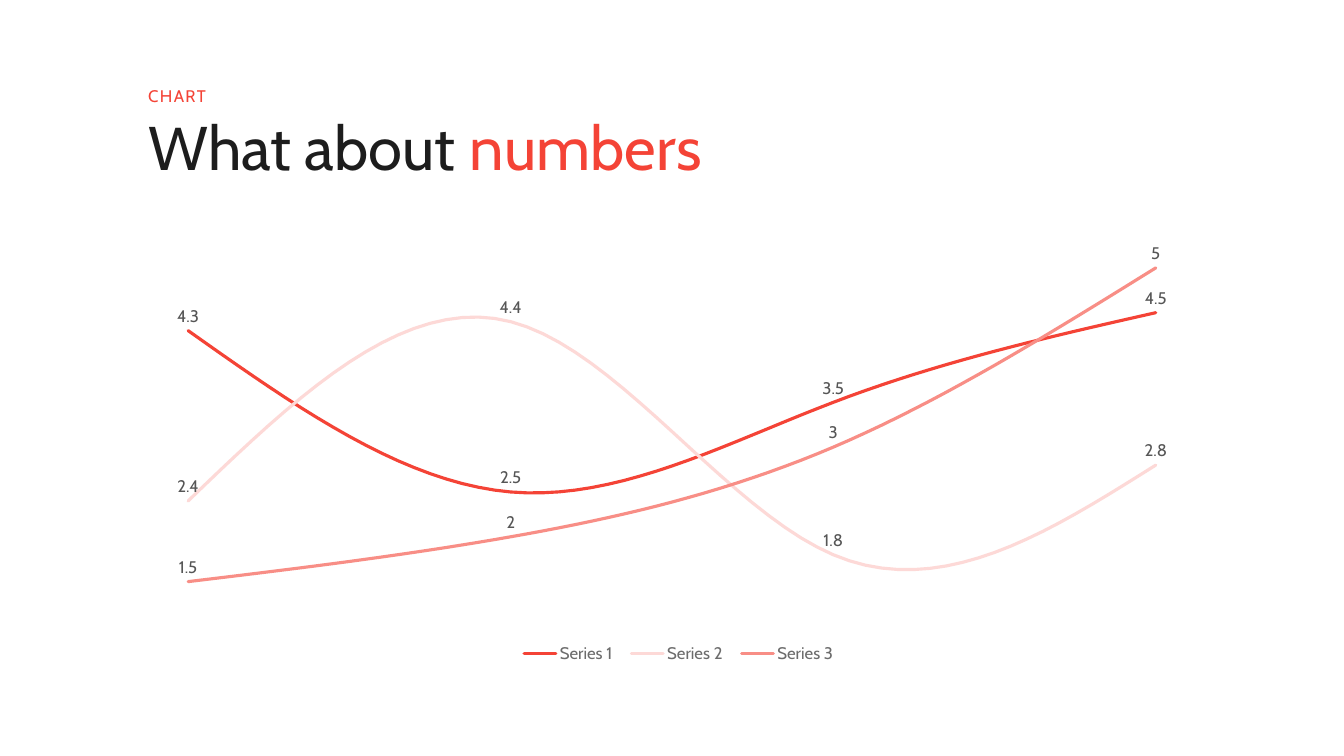
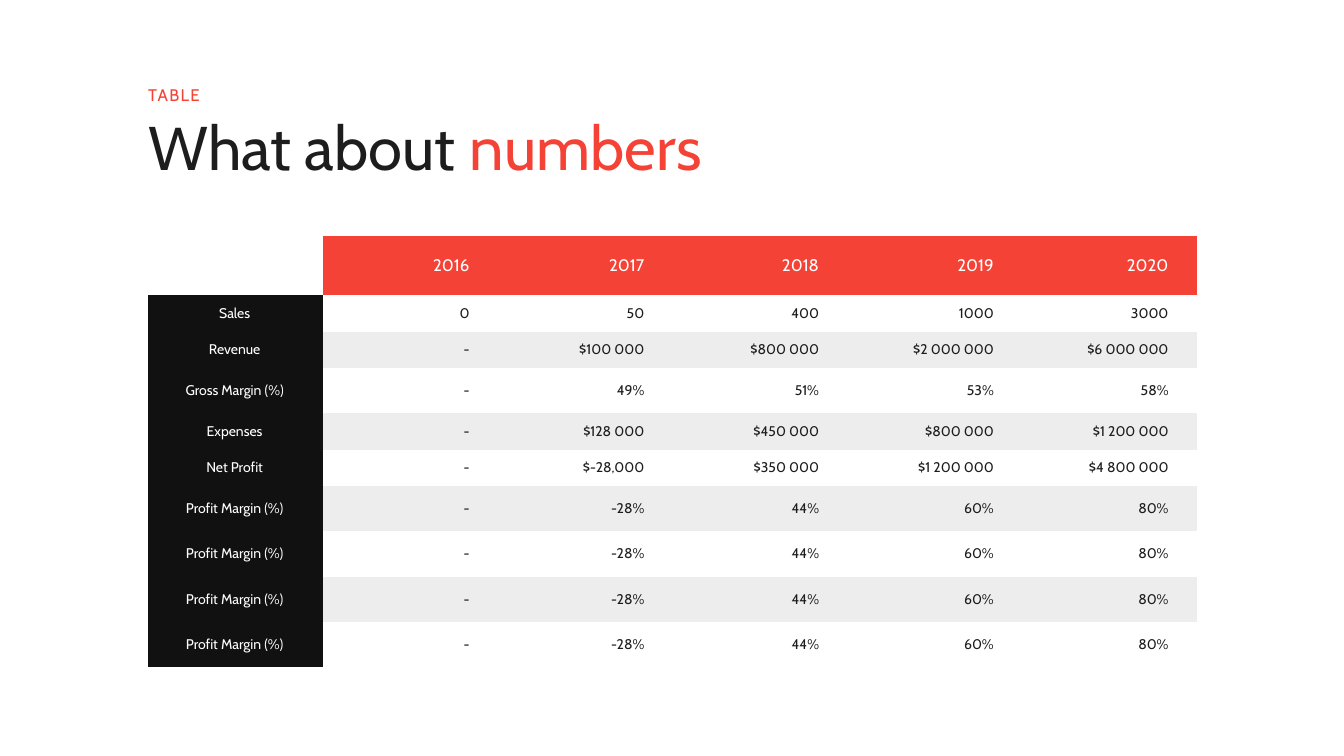
from lxml.etree import SubElement as Sub
from pptx import Presentation
from pptx.chart.data import CategoryChartData as Data
from pptx.dml.color import RGBColor as RGB
from pptx.enum.chart import XL_CHART_TYPE as Kind
from pptx.enum.chart import XL_LABEL_POSITION as Spot
from pptx.enum.chart import XL_LEGEND_POSITION as Side
from pptx.enum.text import MSO_ANCHOR as Anchor
from pptx.enum.text import PP_ALIGN as Align
from pptx.oxml.ns import qn
from pptx.util import Inches, Pt

# Shared look
FONT = "Cabin"
LEFT, WIDTH = 1.47, 10.4
COLOR = {
    "red": "F44336", "rose": "F88E86", "pink": "FDD9D7",
    "ink": "1D1D1D", "black": "111111", "white": "FFFFFF",
    "band": "EDEDED", "label": "565656", "legend": "6C6C6C",
}
PLAIN = "{2D5ABB26-0587-4C30-8999-92F81FD0307C}"  # table style: no grid

# Content
SERIES = [
    ("Series 1", "red", (4.3, 2.5, 3.5, 4.5)),
    ("Series 2", "pink", (2.4, 4.4, 1.8, 2.8)),
    ("Series 3", "rose", (1.5, 2, 3, 5)),
]
YEARS = ["2016", "2017", "2018", "2019", "2020"]
PROFIT = ["Profit Margin (%)", "-", "-28%", "44%", "60%", "80%"]
ROWS = [
    ["Sales", "0", "50", "400", "1000", "3000"],
    ["Revenue", "-", "$100 000", "$800 000", "$2 000 000", "$6 000 000"],
    ["Gross Margin (%)", "-", "49%", "51%", "53%", "58%"],
    ["Expenses", "-", "$128 000", "$450 000", "$800 000", "$1 200 000"],
    ["Net Profit", "-", "$-28,000", "$350 000", "$1 200 000", "$4 800 000"],
] + [PROFIT] * 4


def rgb(name):
    return RGB.from_string(COLOR[name])


def style(font, size, color):
    font.name = FONT
    font.size = Pt(size)
    font.color.rgb = rgb(color)


def write(para, text, size=10, color="ink", align=None, lead=None, track=0):
    """Add a run to a paragraph; track is letter spacing in points."""
    run = para.add_run()
    run.text = text
    style(run.font, size, color)
    if align is not None:
        para.alignment = align
    if lead:
        para.line_spacing = lead
    if track:
        run.font._element.set("spc", str(track * 100))


def box(slide, top, height, anchor=Anchor.TOP):
    """Add a text box without insets and return its first paragraph."""
    shape = slide.shapes.add_textbox(
        Inches(LEFT), Inches(top), Inches(WIDTH), Inches(height))
    frame = shape.text_frame
    frame.word_wrap = True
    frame.vertical_anchor = anchor
    frame.margin_left = frame.margin_right = 0
    frame.margin_top = frame.margin_bottom = 0
    return frame.paragraphs[0]


def head(slide, label, top, height, lead):
    """Red label above the two-colour title."""
    para = box(slide, 1.16, 0.67)
    write(para, "What about ", size=44, lead=0.9)
    write(para, "numbers", size=44, color="red")
    write(box(slide, top, height, Anchor.BOTTOM), label,
          size=12, color="red", lead=lead, track=1)


def place(part, index, **spots):
    """Give a chart part a fixed layout in fractions of the chart."""
    for old in part.findall(qn("c:layout")):
        part.remove(old)
    outer = Sub(part, qn("c:layout"))
    part.insert(index, outer)
    inner = Sub(outer, qn("c:manualLayout"))
    if index == 0:
        Sub(inner, qn("c:layoutTarget")).set("val", "inner")
    for tag in ("xMode", "yMode"):
        Sub(inner, qn("c:" + tag)).set("val", "edge")
    for tag, val in spots.items():
        Sub(inner, qn("c:" + tag)).set("val", str(val))


def lines(slide):
    """Smooth line chart with values above the points."""
    data = Data()
    data.categories = ["1", "2", "3", "4"]
    for name, _, vals in SERIES:
        data.add_series(name, vals)
    chart = slide.shapes.add_chart(
        Kind.LINE, 0, Inches(1.65), Inches(13.33), Inches(5.93), data).chart
    chart.has_title = False
    style(chart.font, 10, "ink")

    # Hidden axes
    axis = chart.value_axis
    axis.minimum_scale, axis.maximum_scale = 1, 6
    axis.has_major_gridlines = False
    axis.visible = chart.category_axis.visible = False

    # Series
    plot = chart.plots[0]
    plot.vary_by_categories = False
    for item, (_, color, _) in zip(plot.series, SERIES):
        item.smooth = True
        line = item.format.line
        line.width = Pt(2.25)
        line.color.rgb = rgb(color)
        line._get_or_add_ln().set("cap", "rnd")
        labels = item.data_labels
        labels.show_value = True
        labels.position = Spot.ABOVE
        style(labels.font, 12, "label")

    # Legend
    chart.has_legend = True
    legend = chart.legend
    legend.position = Side.BOTTOM
    legend.include_in_layout = False
    style(legend.font, 12, "legend")

    place(chart._chartSpace.chart.plotArea, 0, x=0.02, y=0.02, w=0.96, h=0.75)
    place(legend._element, 1, x=0.38, y=0.79, w=0.25, h=0.05)


def fill(cell, text, back, size=10, color="ink", align=Align.RIGHT, right=0.28):
    cell.fill.solid()
    cell.fill.fore_color.rgb = rgb(back)
    cell.vertical_anchor = Anchor.MIDDLE
    cell.margin_right = Inches(right)
    write(cell.text_frame.paragraphs[0], text,
          size=size, color=color, align=align)


def grid(slide):
    """Table with a red header, a black label column and banded rows."""
    high = [0.59] + [0.45 if "%" in row[0] else 0.36 for row in ROWS]
    frame = slide.shapes.add_table(
        len(high), len(YEARS) + 1, Inches(LEFT), Inches(2.34),
        Inches(WIDTH), Inches(sum(high)))
    table = frame.table
    table.first_row = table.horz_banding = False
    next(frame._element.iter(qn("a:tableStyleId"))).text = PLAIN
    for row, size in zip(table.rows, high):
        row.height = Inches(size)

    table.cell(0, 0).fill.background()
    for col, year in enumerate(YEARS, 1):
        fill(table.cell(0, col), year, "red", size=12, color="white")
    for num, (name, *vals) in enumerate(ROWS, 1):
        fill(table.cell(num, 0), name, "black", color="white",
             align=Align.CENTER, right=0.12)
        back = "white" if num % 2 else "band"
        for col, val in enumerate(vals, 1):
            fill(table.cell(num, col), val, back)


def main():
    deck = Presentation()
    deck.slide_width, deck.slide_height = Inches(13.33), Inches(7.5)
    blank = deck.slide_layouts[6]

    # Chart slide
    slide = deck.slides.add_slide(blank)
    lines(slide)
    head(slide, "CHART", 0.83, 0.22, 1.2)

    # Table slide
    slide = deck.slides.add_slide(blank)
    grid(slide)
    head(slide, "TABLE", 0.88, 0.16, 0.8)

    deck.save("out.pptx")


if __name__ == "__main__":
    main()
